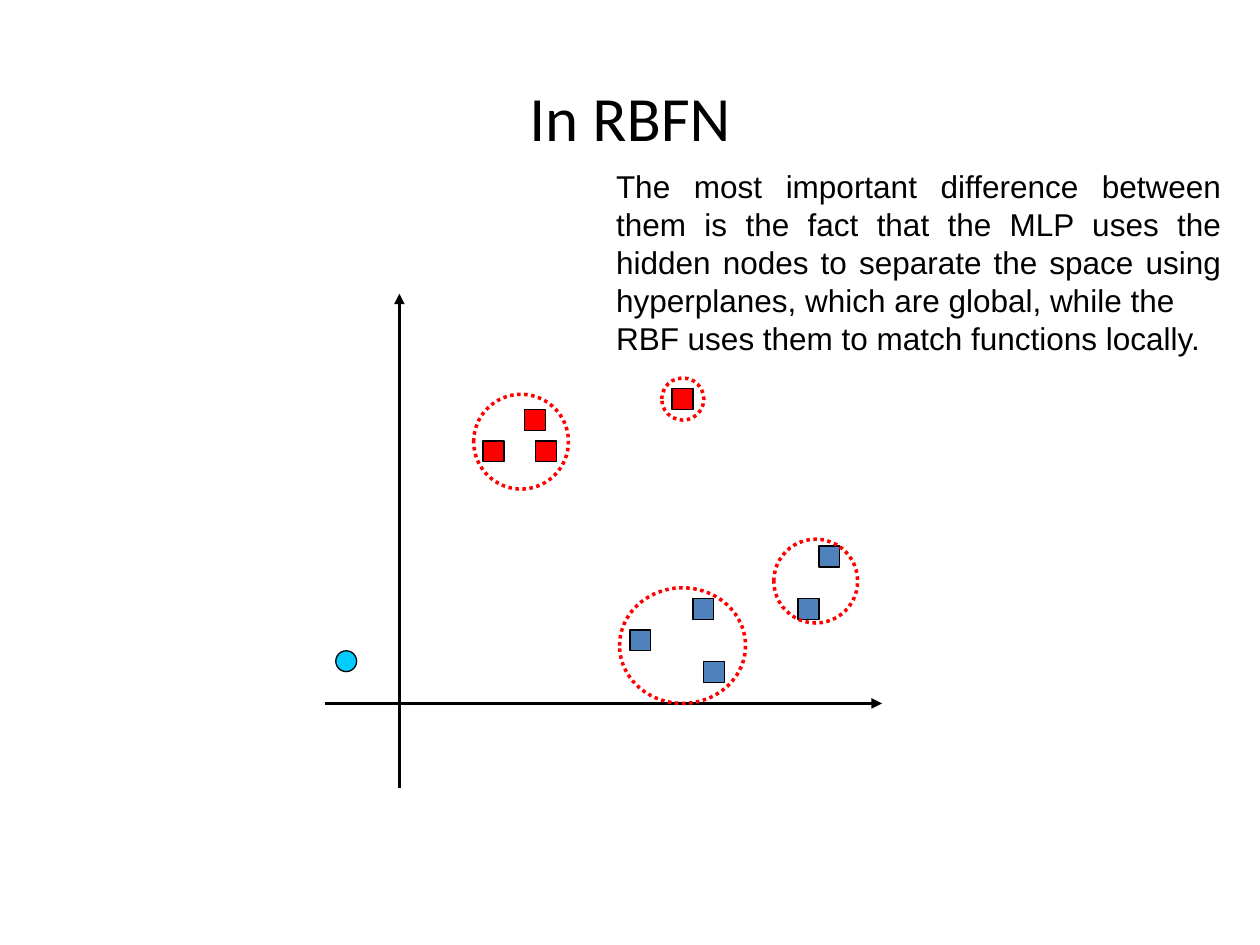
"""Build the slide that shows how an RBF network separates clusters locally."""
import dataclasses

import lxml.etree
import pptx
import pptx.dml.color
import pptx.enum.dml
import pptx.enum.shapes
import pptx.enum.text
import pptx.oxml.ns
import pptx.util

Cm = pptx.util.Cm
Pt = pptx.util.Pt
RGB = pptx.dml.color.RGBColor
Shape = pptx.enum.shapes.MSO_SHAPE
Align = pptx.enum.text.PP_ALIGN
Anchor = pptx.enum.text.MSO_ANCHOR
qn = pptx.oxml.ns.qn


@dataclasses.dataclass(frozen=True)
class Theme:
    ink: RGB = RGB(0x00, 0x00, 0x00)
    red: RGB = RGB(0xFF, 0x00, 0x00)
    blue: RGB = RGB(0x4F, 0x81, 0xBD)
    cyan: RGB = RGB(0x00, 0xCC, 0xFF)
    title_size: Pt = Pt(36)
    body_size: Pt = Pt(18)
    thin: Pt = Pt(0.75)
    thick: Pt = Pt(2)


theme = Theme()


def write(slide, paragraphs, *, at, font, size, aligns, anchor=Anchor.TOP):
    frame = slide.shapes.add_textbox(*map(Cm, at)).text_frame
    frame.word_wrap = True
    frame.vertical_anchor = anchor
    for index, (text, align) in enumerate(zip(paragraphs, aligns)):
        paragraph = frame.paragraphs[0] if index == 0 else frame.add_paragraph()
        paragraph.text = text
        paragraph.alignment = align
        paragraph.font.name = font
        paragraph.font.size = size
        paragraph.font.color.rgb = theme.ink


def outline(slide, preset, at, color, width):
    shape = slide.shapes.add_shape(preset, *map(Cm, at))
    shape.shadow.inherit = False
    shape.fill.background()
    shape.line.color.rgb = color
    shape.line.width = width
    return shape


deck = pptx.Presentation()
deck.slide_width, deck.slide_height = Cm(25.4), Cm(19.05)
slide = deck.slides.add_slide(deck.slide_layouts[6])

write(slide, ["In RBFN"], at=(1.27, 0.76, 22.86, 3.18), font="Calibri",
      size=theme.title_size, aligns=[Align.CENTER], anchor=Anchor.MIDDLE)

for ends in [(6.55, 14.18, 17.78, 14.18), (8.05, 15.88, 8.05, 5.92)]:
    axis = slide.shapes.add_connector(pptx.enum.shapes.MSO_CONNECTOR.STRAIGHT, *map(Cm, ends))
    axis.line.color.rgb = theme.ink
    axis.line.width = theme.thick
    lxml.etree.SubElement(axis.line._get_or_add_ln(), qn("a:tailEnd"), type="triangle")
    lxml.etree.SubElement(axis._element.spPr, qn("a:effectLst"))

marker_size = 0.42
red_points = [(10.8, 8.89), (9.74, 8.89), (10.58, 8.26), (13.55, 7.83)]
blue_points = [(16.51, 11.01), (16.09, 12.07), (14.18, 13.34), (13.97, 12.07), (12.7, 12.7)]
new_points = [(6.77, 13.12)]
for preset, color, points in [
    (Shape.RECTANGLE, theme.red, red_points),
    (Shape.RECTANGLE, theme.blue, blue_points),
    (Shape.OVAL, theme.cyan, new_points),
]:
    for left, top in points:
        marker = outline(slide, preset, (left, top, marker_size, marker_size), theme.ink, theme.thin)
        marker.fill.solid()
        marker.fill.fore_color.rgb = color

for bounds in [
    (9.55, 7.95, 1.91, 1.91),
    (13.34, 7.62, 0.85, 0.85),
    (12.49, 11.85, 2.54, 2.33),
    (15.6, 10.87, 1.69, 1.69),
]:
    cluster = outline(slide, Shape.OVAL, bounds, theme.red, theme.thick)
    cluster.line.dash_style = pptx.enum.dml.MSO_LINE.ROUND_DOT

write(slide, [
    "The most important difference between them is the fact that the MLP uses the hidden "
    "nodes to separate the space using hyperplanes, which are global, while the",
    "RBF uses them to match functions locally.",
], at=(12.17, 3.25, 12.7, 4.06), font="Arial", size=theme.body_size,
    aligns=[Align.JUSTIFY, Align.LEFT])

deck.save("out.pptx")
